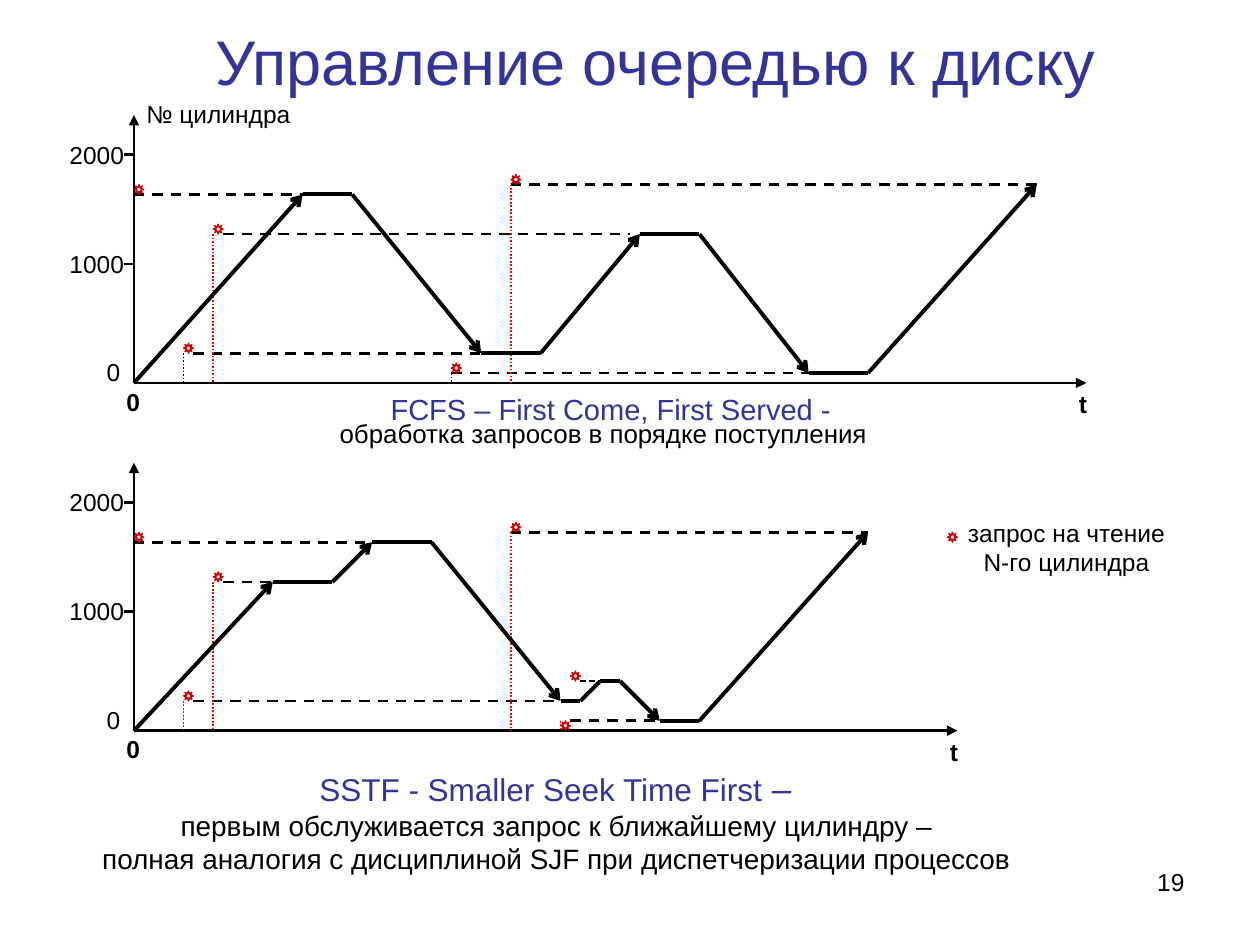
import pptx
import pptx.util
import pptx.dml.color
import pptx.enum.dml
import pptx.enum.shapes
import pptx.enum.text
import pptx.oxml.ns
from itertools import pairwise
from lxml import etree
from pptx.util import Cm, Pt

BLACK, BLUE, RED, SUN_LINE, SUN_FILL = "000000", "333399", "FF0000", "CC0000", "BBE0E3"
DASH = pptx.enum.dml.MSO_LINE.DASH
DOT = pptx.enum.dml.MSO_LINE.ROUND_DOT
ALIGN = pptx.enum.text.PP_ALIGN
ANCHOR = pptx.enum.text.MSO_ANCHOR

# Content: paragraphs are lists of runs (text, size, colour)
TITLE = [[("Управление очередью к диску ", 36, BLUE)]]
FCFS = [[("FCFS – First Come, First Served -", 16.6, BLUE)],
        [("обработка запросов в порядке поступления", 14.8, BLACK), (" ", 29.6, BLACK)]]
SSTF = [[("SSTF - Smaller Seek Time First", 18, BLUE), (" – ", 20, BLUE)],
        [("первым обслуживается запрос к ближайшему цилиндру – ", 16, BLACK)],
        [("полная аналогия с дисциплиной SJF при диспетчеризации процессов ", 16, BLACK)]]
LEGEND = "запрос на чтение N-го цилиндра"
TICKS = [("1000", 2.4), ("2000", 4.6)]

# Diagrams, in cm from the origin with y upwards
ORIGIN_X, AXIS_HEIGHT, SUN = 2.7, 5.4, 0.2
DIAGRAMS = [
    dict(origin_y=7.72, time_end=19.2,
         # head position over time: x, y, arrow on arrival
         head=[(0, 0, False), (3.4, 3.8, True), (4.4, 3.8, False), (7, 0.6, True),
               (8.2, 0.6, False), (10.2, 3, True), (11.4, 3, False),
               (13.6, 0.2, True), (14.8, 0.2, False), (18.2, 4, True)],
         # waiting requests: x from, x to, y, width
         waiting=[(0, 3.4, 3.8, 1.5), (1.2, 7, 0.6, 1.5), (1.8, 10, 3, 1.5),
                  (6.4, 13.6, 0.2, 1.5), (7.6, 18.2, 4, 1.5)],
         arrivals=[(1, 0.6, BLACK), (1.6, 3, RED), (7.6, 4, RED), (6.4, 0.2, BLACK)],
         requests=[(0, 3.8), (1.6, 3), (1, 0.6), (7.6, 4), (6.4, 0.2)]),
    dict(origin_y=14.73, time_end=16.6,
         head=[(0, 0, False), (2.8, 3, True), (4, 3, False), (4.8, 3.8, True),
               (6, 3.8, False), (8.6, 0.6, True), (9, 0.6, False), (9.4, 1, False),
               (9.8, 1, False), (10.6, 0.2, True), (11.4, 0.2, False), (14.8, 4, True)],
         waiting=[(0, 4.8, 3.8, 1.5), (1.2, 8.6, 0.6, 1.5), (1.8, 4, 3, 1.5),
                  (8.8, 11.4, 0.2, 1.5), (7.6, 14.8, 4, 1.5), (9, 9.6, 1, 0.75)],
         arrivals=[(1, 0.6, RED), (1.6, 3, RED), (7.6, 4, RED), (8.6, 0.2, RED)],
         requests=[(0, 3.8), (7.6, 4), (1.6, 3), (1, 0.6), (8.6, 0), (8.8, 1),
                   (16.4, 3.8)]),
]

deck = pptx.Presentation()
deck.slide_width, deck.slide_height = Cm(25.4), Cm(19.05)
slide = deck.slides.add_slide(deck.slide_layouts[1])


def rgb(value):
    return pptx.dml.color.RGBColor.from_string(value)


def place(part, left, top, width, height):
    part.left, part.top, part.width, part.height = map(Cm, (left, top, width, height))


def write(part, paragraphs, align, anchor=ANCHOR.TOP, bold=False, spacing=None):
    frame = part.text_frame
    frame.word_wrap = True
    frame.auto_size = pptx.enum.text.MSO_AUTO_SIZE.NONE
    frame.vertical_anchor = anchor
    for number, runs in enumerate(paragraphs):
        paragraph = frame.paragraphs[0] if number == 0 else frame.add_paragraph()
        paragraph.alignment = align
        if part.is_placeholder:
            properties = paragraph._p.get_or_add_pPr()
            properties.set("marL", "0")
            properties.set("indent", "0")
            etree.SubElement(properties, pptx.oxml.ns.qn("a:buNone"))
        paragraph.space_before = Pt(0)
        if spacing:
            paragraph.line_spacing = spacing
        for text, size, colour in runs:
            run = paragraph.add_run()
            run.text = text
            run.font.name, run.font.size, run.font.bold = "Arial", Pt(size), bold
            run.font.color.rgb = rgb(colour)


def label(text, left, top, width, height=0.86, align=ALIGN.LEFT, bold=False):
    box = slide.shapes.add_textbox(Cm(left), Cm(top), Cm(width), Cm(height))
    write(box, [[(text, 14, BLACK)]], align, bold=bold)


def line(start, end, width, colour=BLACK, dash=None, arrow=None):
    connector = slide.shapes.add_connector(
        pptx.enum.shapes.MSO_CONNECTOR.STRAIGHT, *map(Cm, (*start, *end)))
    connector.line.width = Pt(width)
    connector.line.color.rgb = rgb(colour)
    if dash:
        connector.line.dash_style = dash
    if arrow:
        etree.SubElement(connector.line._get_or_add_ln(),
                         pptx.oxml.ns.qn("a:tailEnd"), type=arrow)
    etree.SubElement(connector._element.spPr, pptx.oxml.ns.qn("a:effectLst"))


def request_mark(left, bottom):
    sun = slide.shapes.add_shape(pptx.enum.shapes.MSO_SHAPE.SUN, Cm(left),
                                 Cm(bottom - SUN), Cm(SUN), Cm(SUN))
    sun.shadow.inherit = False
    sun.fill.solid()
    sun.fill.fore_color.rgb = rgb(SUN_FILL)
    sun.line.color.rgb = rgb(SUN_LINE)
    sun.line.width = Pt(0.75)


def draw_diagram(origin_y, time_end, head, waiting, arrivals, requests):
    def at(x, y):
        return ORIGIN_X + x, origin_y - y

    # Axes, ticks and their labels
    line(at(0, 0), at(0, AXIS_HEIGHT), 1.5, arrow="triangle")
    line(at(0, 0), at(time_end, 0), 1.5, arrow="triangle")
    for text, y in TICKS:
        line(at(0, y), at(-0.2, y), 1.5)
        label(text, *at(-1.55, y + 0.43), 1.8)
    label("0", *at(-0.8, 0.65), 1.2)
    label("0", *at(-0.4, 0.05), 1.2, bold=True)
    label("t", *at(time_end - 0.4, 0), 1.2, bold=True)

    # Waiting requests and their arrival times
    for x_from, x_to, y, width in waiting:
        line(at(x_from, y), at(x_to, y), width, dash=DASH)
    for x, y, colour in arrivals:
        line(at(x, y), at(x, 0), 1, colour, DOT)

    # Head movement
    for (x1, y1, _), (x2, y2, arrives) in pairwise(head):
        line(at(x1, y1), at(x2, y2), 2.25, arrow="arrow" if arrives else None)
    for x, y in requests:
        request_mark(*at(x, y))


# Title and first caption
title, fcfs_caption = slide.shapes.title, slide.placeholders[1]
place(title, 2.29, -0.69, 22.2, 3.81)
write(title, TITLE, ALIGN.CENTER, ANCHOR.MIDDLE)
place(fcfs_caption, 5.51, 8.13, 13.59, 1.19)
write(fcfs_caption, FCFS, ALIGN.CENTER, spacing=0.4)

# Both diagrams
for diagram in DIAGRAMS:
    draw_diagram(**diagram)
label("№ цилиндра", 2.7, 1.88, 3.6)
label(LEGEND, 19.1, 10.31, 4.8, 1.45, ALIGN.CENTER)

# Second caption and slide number
sstf_caption = slide.shapes.add_textbox(Cm(1.3), Cm(15.32), Cm(19.99), Cm(2.46))
write(sstf_caption, SSTF, ALIGN.CENTER)
label("19", 18.21, 17.35, 5.92, 1.32, ALIGN.RIGHT)

deck.save("out.pptx")
